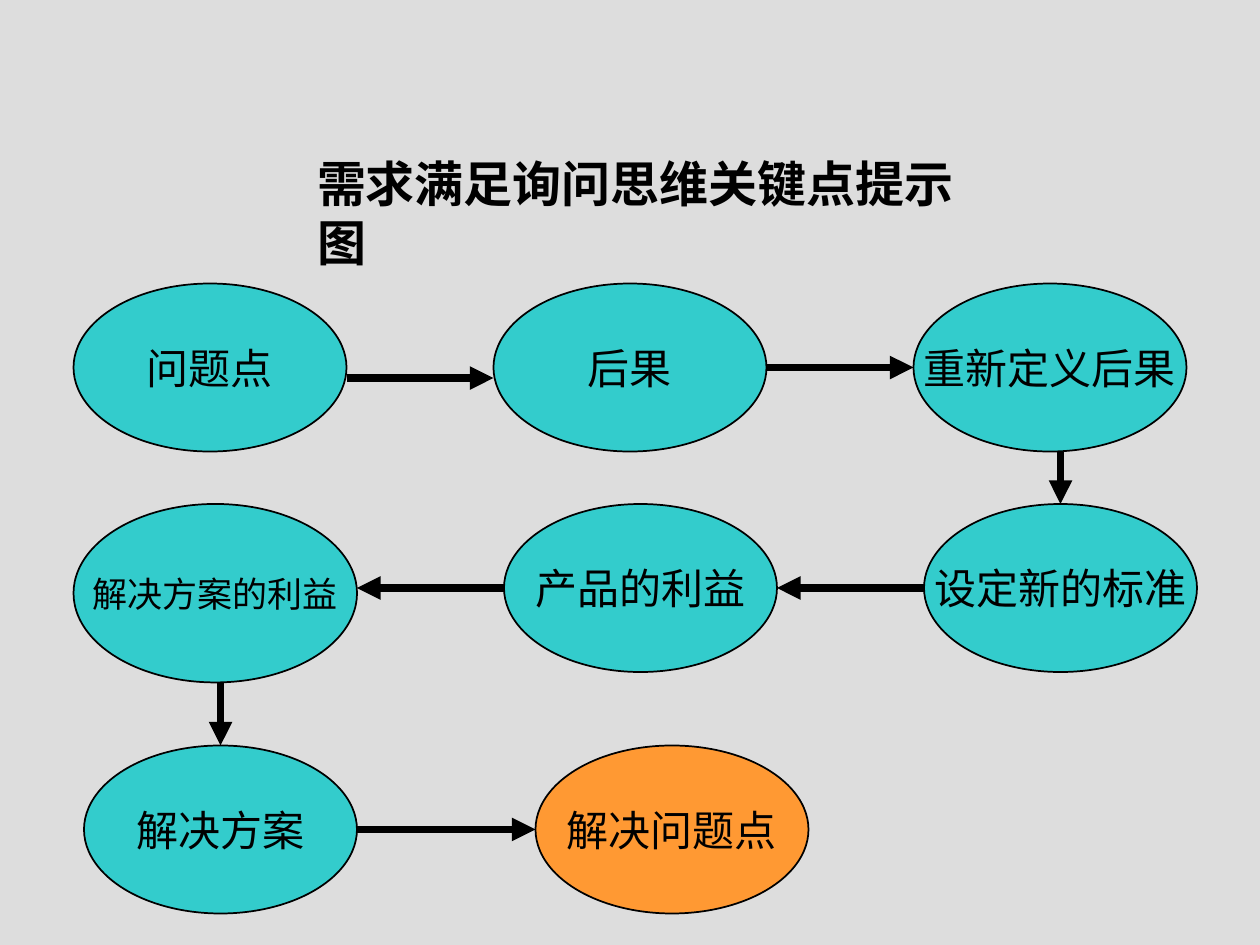
from dataclasses import dataclass

import pptx
import pptx.dml.color
import pptx.enum.shapes
import pptx.enum.text
import pptx.oxml
import pptx.oxml.ns
import pptx.util

EMU_PER_PX = 9525
TITLE_ONLY = 5
COLORS = {"page": "DDDDDD", "step": "33CCCC", "goal": "FF9933", "ink": "000000"}
FONT = "Times New Roman"


@dataclass
class Step:
    text: str
    left: int
    top: int
    width: int = 208
    height: int = 128
    size: int = 24
    color: str = "step"


@dataclass
class Arrow:
    x1: int
    y1: int
    x2: int
    y2: int


STEPS = [
    Step("问题点", 56, 216),
    Step("后果", 376, 216),
    Step("重新定义后果", 696, 216),
    Step("设定新的标准", 704, 384),
    Step("产品的利益", 384, 384),
    Step("解决方案的利益", 56, 384, width=216, height=136, size=20),
    Step("解决方案", 64, 568),
    Step("解决问题点", 408, 568, color="goal"),
]
ARROWS = [
    Arrow(264, 288, 376, 288),
    Arrow(584, 280, 696, 280),
    Arrow(808, 344, 808, 384),
    Arrow(704, 448, 592, 448),
    Arrow(384, 448, 272, 448),
    Arrow(168, 520, 168, 568),
    Arrow(272, 632, 408, 632),
]


def px(length: int) -> int:
    return pptx.util.Emu(length * EMU_PER_PX)


def rgb(name: str) -> pptx.dml.color.RGBColor:
    return pptx.dml.color.RGBColor.from_string(COLORS[name])


def set_text(box, text: str, size: int, bold: bool, align, anchor) -> None:
    frame = box.text_frame
    frame_format = {
        "text": text,
        "auto_size": pptx.enum.text.MSO_AUTO_SIZE.NONE,
        "word_wrap": False,
        "vertical_anchor": anchor,
    }
    for name, value in frame_format.items():
        setattr(frame, name, value)
    para = frame.paragraphs[0]
    para.alignment = align
    font = para.runs[0].font
    for name, value in {"name": FONT, "size": pptx.util.Pt(size), "bold": bold}.items():
        setattr(font, name, value)
    font.color.rgb = rgb("ink")


def add_title(page, text: str) -> None:
    title = page.shapes.title
    place = {"left": 232, "top": 112, "width": 540, "height": 55}
    for name, value in place.items():
        setattr(title, name, px(value))
    set_text(title, text, 28, True,
             pptx.enum.text.PP_ALIGN.LEFT, pptx.enum.text.MSO_ANCHOR.TOP)


def add_step(page, step: Step) -> None:
    oval = page.shapes.add_shape(
        pptx.enum.shapes.MSO_SHAPE.OVAL,
        px(step.left), px(step.top), px(step.width), px(step.height))
    oval.shadow.inherit = False
    oval.fill.solid()
    oval.fill.fore_color.rgb = rgb(step.color)
    oval.line.color.rgb = rgb("ink")
    oval.line.width = pptx.util.Pt(1)
    set_text(oval, step.text, step.size, False,
             pptx.enum.text.PP_ALIGN.CENTER, pptx.enum.text.MSO_ANCHOR.MIDDLE)


def add_arrow(page, arrow: Arrow) -> None:
    connector = page.shapes.add_connector(
        pptx.enum.shapes.MSO_CONNECTOR.STRAIGHT,
        px(arrow.x1), px(arrow.y1), px(arrow.x2), px(arrow.y2))
    connector.line.color.rgb = rgb("ink")
    connector.line.width = pptx.util.Pt(4.5)
    namespace = pptx.oxml.ns.nsdecls("a")
    connector.line._get_or_add_ln().append(
        pptx.oxml.parse_xml(f'<a:tailEnd {namespace} type="triangle"/>'))
    connector._element.spPr.append(pptx.oxml.parse_xml(f"<a:effectLst {namespace}/>"))


def main() -> None:
    deck = pptx.Presentation()
    deck.slide_width, deck.slide_height = px(960), px(720)
    page = deck.slides.add_slide(deck.slide_layouts[TITLE_ONLY])
    page.background.fill.solid()
    page.background.fill.fore_color.rgb = rgb("page")
    add_title(page, "需求满足询问思维关键点提示图")
    for step in STEPS:
        add_step(page, step)
    for arrow in ARROWS:
        add_arrow(page, arrow)
    deck.save("out.pptx")


if __name__ == "__main__":
    main()
